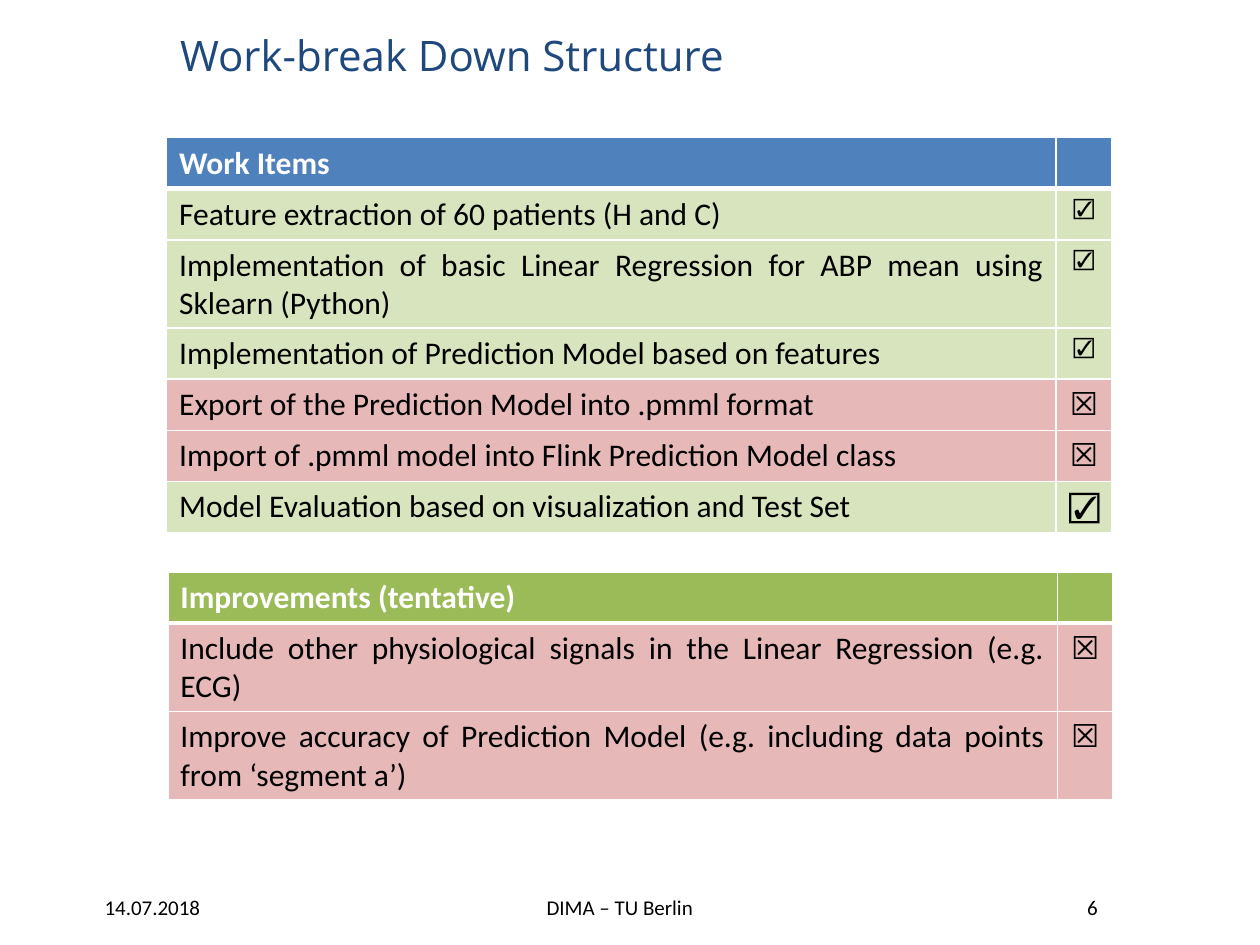
"""Builds the work-break down structure slide with its two status tables."""
from lxml import etree
from pptx import Presentation
from pptx.dml.color import RGBColor
from pptx.enum.text import MSO_ANCHOR, PP_ALIGN
from pptx.oxml.ns import qn
from pptx.util import Pt

LEFT, CENTER, JUSTIFY = PP_ALIGN.LEFT, PP_ALIGN.CENTER, PP_ALIGN.JUSTIFY
MIDDLE = MSO_ANCHOR.MIDDLE

THEME = {
    "body_font": "Calibri", "title_font": "Open Sans",
    "title_size": 24, "body_size": 18, "small_size": 12,
    "title": "1F497D", "text": "000000", "white": "FFFFFF",
    "blue": "4F81BD", "green": "9BBB59", "done": "D7E4BD", "open": "E6B9B8",
}
BODY = {"name": THEME["body_font"], "size": Pt(THEME["body_size"]), "bold": False}
HEADER = {**BODY, "bold": True}
SMALL = {**BODY, "size": Pt(THEME["small_size"])}
TITLE = {**BODY, "name": THEME["title_font"], "size": Pt(THEME["title_size"])}

COLUMN_WIDTHS = (508.3, 31.7)
ROW_HEIGHT = 29.2
MARKS = {"done": "☑", "open": "☒"}


def write(text_frame, text, font, color, alignment):
    """Put one formatted run into the first paragraph of a text frame."""
    paragraph = text_frame.paragraphs[0]
    paragraph.alignment = alignment
    run = paragraph.add_run()
    run.text = text
    for attribute, value in font.items():
        setattr(run.font, attribute, value)
    run.font.color.rgb = RGBColor.from_string(THEME[color])


def style_cell(cell, color, edges):
    """Give a cell its border widths and its fill."""
    properties = cell._tc.get_or_add_tcPr()
    for edge, width in edges.items():
        line = etree.SubElement(properties, qn(f"a:ln{edge}"), w=str(Pt(width)))
        fill = etree.SubElement(line, qn("a:solidFill"))
        etree.SubElement(fill, qn("a:srgbClr"), val=THEME["white"])
    cell.fill.solid()
    cell.fill.fore_color.rgb = RGBColor.from_string(THEME[color])


presentation = Presentation()
presentation.slide_width, presentation.slide_height = Pt(720), Pt(540)
slide = presentation.slides.add_slide(presentation.slide_layouts[6])

text_boxes = [
    ("14.07.2018", (33.8, 507.6, 106.6, 21.6), SMALL, "text", CENTER),
    ("DIMA – TU Berlin", (264.2, 507.6, 180, 21.6), SMALL, "text", CENTER),
    ("6", (562.3, 507.6, 123.8, 21.6), SMALL, "text", CENTER),
    ("Work-break Down Structure", (95.8, 5.8, 540, 50.4), TITLE, "title", LEFT),
]
for text, box, font, color, alignment in text_boxes:
    text_frame = slide.shapes.add_textbox(*map(Pt, box)).text_frame
    text_frame.word_wrap = True
    text_frame.vertical_anchor = MIDDLE
    write(text_frame, text, font, color, alignment)

tables = [
    ("Work Items", "blue", 95.2, 78.7, [
        ("Feature extraction of 60 patients (H and C)", "done", SMALL),
        ("Implementation of basic Linear Regression for ABP mean using Sklearn (Python)",
         "done", SMALL),
        ("Implementation of Prediction Model based on features", "done", SMALL),
        ("Export of the Prediction Model into .pmml format", "open", BODY),
        ("Import of .pmml model into Flink Prediction Model class", "open", BODY),
        ("Model Evaluation based on visualization and Test Set", "done", BODY),
    ]),
    ("Improvements (tentative)", "green", 95.9, 326.9, [
        ("Include other physiological signals in the Linear Regression (e.g. ECG)",
         "open", BODY),
        ("Improve accuracy of Prediction Model (e.g. including data points from ‘segment a’)",
         "open", BODY),
    ]),
]
for heading, header_color, left, top, items in tables:
    row_count = len(items) + 1
    table = slide.shapes.add_table(
        row_count, 2, Pt(left), Pt(top), Pt(sum(COLUMN_WIDTHS)), Pt(ROW_HEIGHT * row_count)
    ).table
    for column, width in zip(table.columns, COLUMN_WIDTHS):
        column.width = Pt(width)
    for row_index, row in enumerate(table.rows):
        row.height = Pt(ROW_HEIGHT)
        color = items[row_index - 1][1] if row_index else header_color
        edges = {"L": 1, "R": 1, "T": 3 if row_index == 1 else 1, "B": 1 if row_index else 3}
        for cell in row.cells:
            style_cell(cell, color, edges)
    write(table.cell(0, 0).text_frame, heading, HEADER, "white", JUSTIFY)
    for row_index, (text, status, mark_font) in enumerate(items, 1):
        write(table.cell(row_index, 0).text_frame, text, BODY, "text", JUSTIFY)
        write(table.cell(row_index, 1).text_frame, MARKS[status], mark_font, "text", CENTER)

presentation.save("out.pptx")
